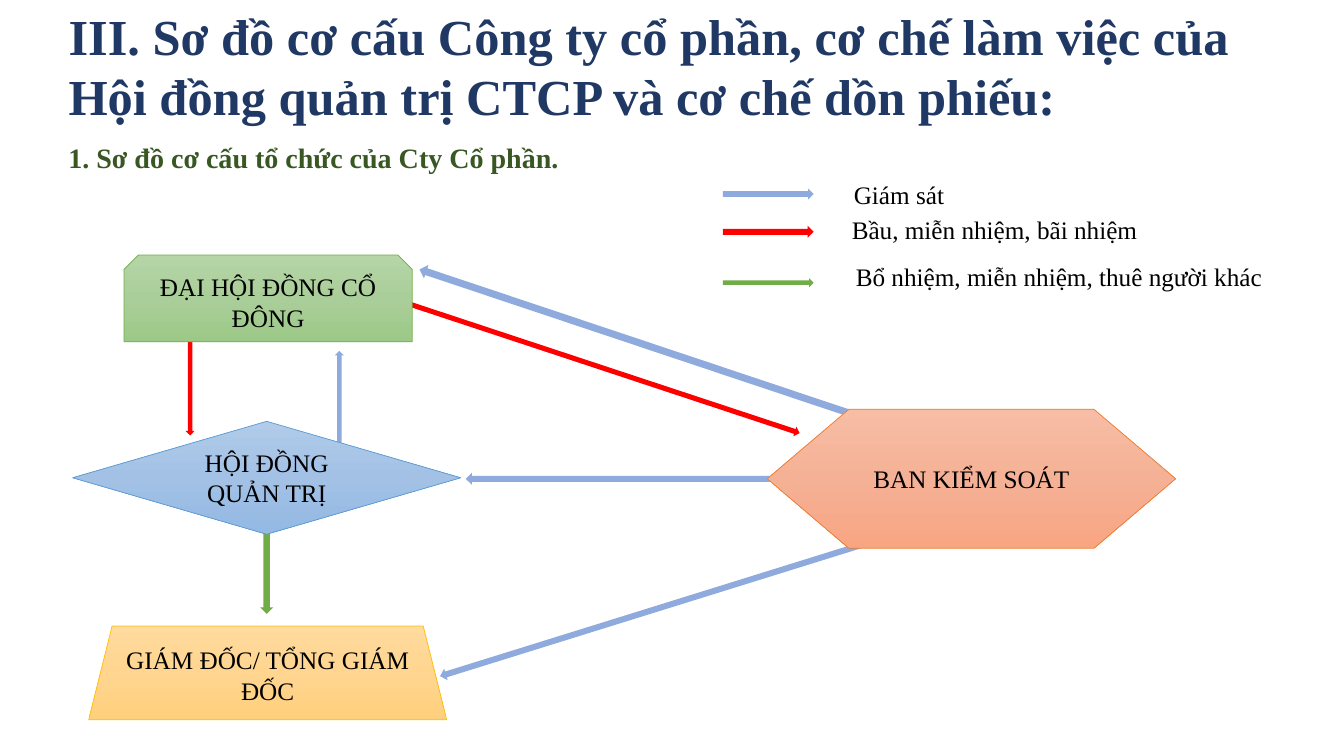
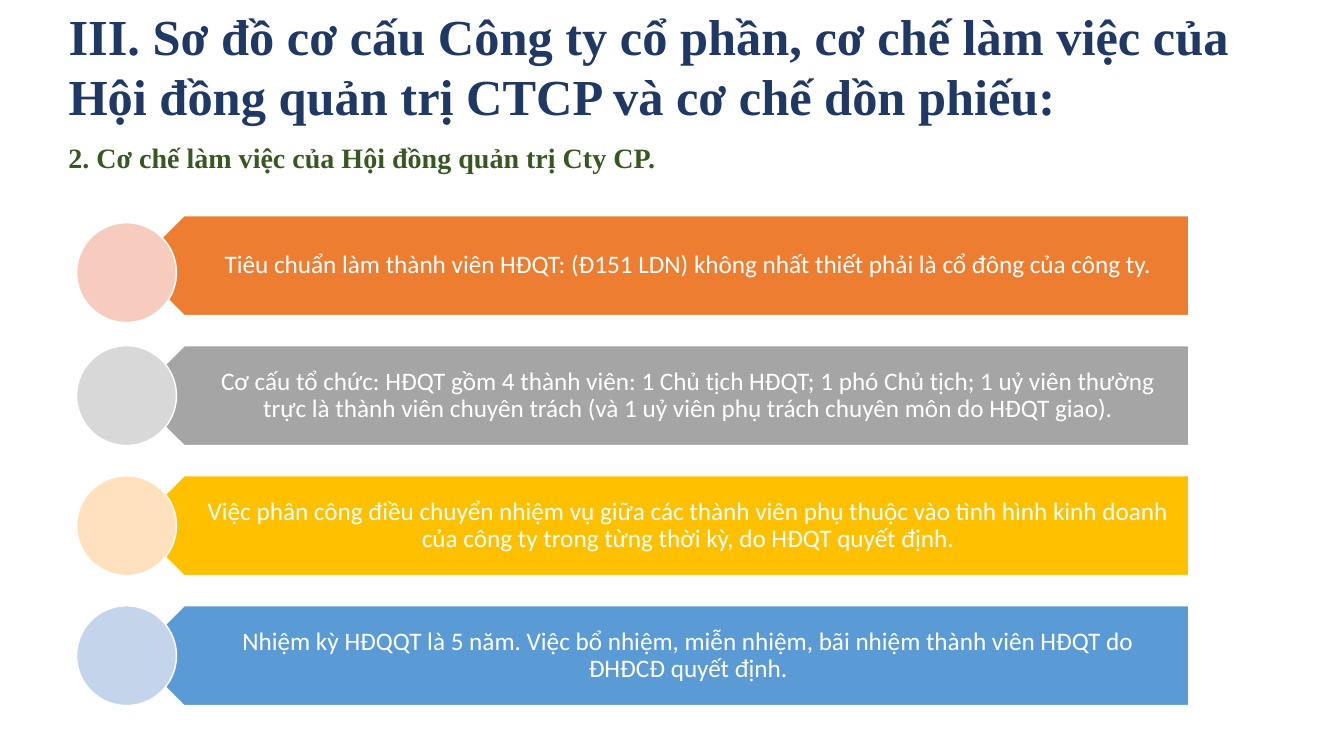
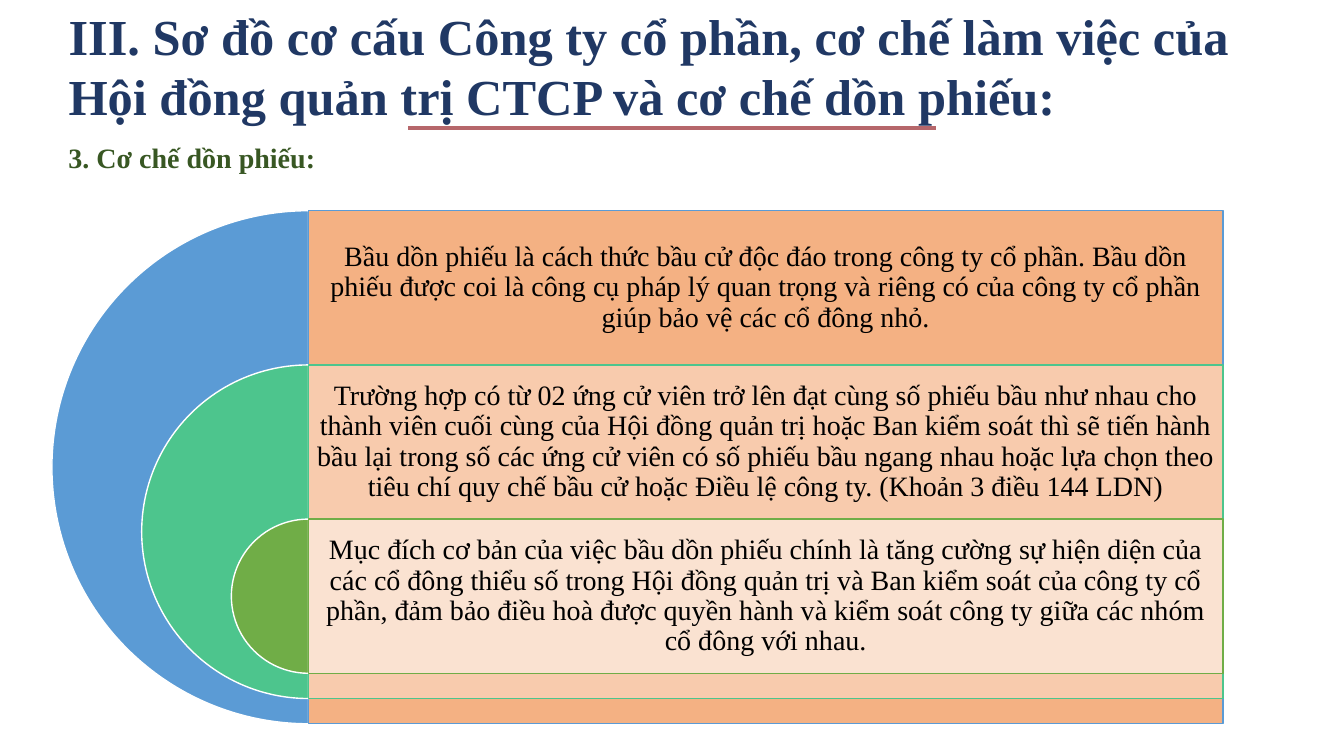
from copy import deepcopy
from dataclasses import dataclass
from typing import NamedTuple, Optional

from lxml.etree import SubElement
from pptx import Presentation
from pptx.dml.color import RGBColor
from pptx.enum.shapes import MSO_CONNECTOR, MSO_SHAPE as Preset
from pptx.enum.text import MSO_ANCHOR as Anchor, PP_ALIGN as Align
from pptx.oxml.ns import qn
from pptx.util import Inches, Pt


@dataclass(frozen=True)
class Theme:
    serif: str = "Times New Roman"
    sans: str = "Calibri"
    title_size: int = 36
    heading_size: int = 20
    body_size: int = 18
    title: str = "203864"
    heading: str = "385723"
    ink: str = "000000"
    white: str = "FFFFFF"
    supervise: str = "8FAADC"
    elect: str = "FF0000"
    appoint: str = "70AD47"
    orange: str = "ED7D31"
    gray: str = "A5A5A5"
    gold: str = "FFC000"
    blue: str = "5B9BD5"
    green: str = "70AD47"
    mint: str = "4DC58D"
    rule: str = "B6676B"


THEME = Theme()
TITLE = ("III. Sơ đồ cơ cấu Công ty cổ phần, cơ chế làm việc của "
         "Hội đồng quản trị CTCP và cơ chế dồn phiếu:")


class Box(NamedTuple):
    left: float
    top: float
    width: float
    height: float

    def lengths(self):
        return [Inches(value) for value in self]


class Arrow(NamedTuple):
    box: Box
    color: str
    rotation: float = 0


class Body(NamedTuple):
    """A governing body of the company in the organisation chart."""
    name: str
    preset: Preset
    box: Box
    gradient: tuple[str, str, str]
    outline: str


class LegendEntry(NamedTuple):
    arrow: Arrow
    label: str
    label_box: Box


class Rule(NamedTuple):
    text: str
    band_color: str
    circle_color: str
    circle_drop: float = 0


class Ring(NamedTuple):
    text: str
    color: str
    panel_color: str
    opacity: int = 100


ARROWS = [
    Arrow(Box(4.62, 4.69, 3.29, 0.12), THEME.supervise, 180),
    Arrow(Box(4.26, 5.96, 4.63, 0.12), THEME.supervise, 162.7),
    Arrow(Box(2.15, 5.53, 0.99, 0.13), THEME.appoint, 90),
    Arrow(Box(1.31, 3.7, 1.15, 0.09), THEME.elect, 90),
    Arrow(Box(3.73, 3.57, 4.31, 0.1), THEME.elect, 18.3),
    Arrow(Box(4.03, 3.41, 5.09, 0.14), THEME.supervise, 198.5),
    Arrow(Box(2.79, 4.01, 1.15, 0.09), THEME.supervise, 270),
]

BODIES = [
    Body("BAN KIỂM SOÁT", Preset.FLOWCHART_PREPARATION,
         Box(7.61, 4.06, 4.05, 1.38), ("F7BDA5", "F5B196", "F8A582"), THEME.orange),
    Body("ĐẠI HỘI ĐỒNG CỔ ĐÔNG", Preset.SNIP_2_SAME_RECTANGLE,
         Box(1.23, 2.53, 2.86, 0.86), ("B5D5A7", "AACE9A", "9CC987"), THEME.green),
    Body("GIÁM ĐỐC/ TỔNG GIÁM ĐỐC", Preset.TRAPEZOID,
         Box(0.88, 6.21, 3.55, 0.93), ("FFDB9E", "FFD590", "FFD07C"), THEME.gold),
    Body("HỘI ĐỒNG QUẢN TRỊ", Preset.FLOWCHART_DECISION,
         Box(0.72, 4.18, 3.85, 1.12), ("B1CBE9", "A3C1E5", "93B9E4"), THEME.blue),
]

LEGEND = [
    LegendEntry(Arrow(Box(7.17, 1.87, 0.9, 0.11), THEME.supervise),
                "Giám sát", Box(8.37, 1.73, 1.1, 0.4)),
    LegendEntry(Arrow(Box(7.17, 2.24, 0.9, 0.12), THEME.elect),
                "Bầu, miễn nhiệm, bãi nhiệm", Box(8.35, 2.08, 3.17, 0.4)),
    LegendEntry(Arrow(Box(7.17, 2.76, 0.9, 0.09), THEME.appoint),
                "Bổ nhiệm, miễn nhiệm, thuê người khác", Box(8.39, 2.54, 4.34, 0.4)),
]

RULES = [
    Rule("Tiêu chuẩn làm thành viên HĐQT: (Đ151 LDN) không nhất thiết phải là "
         "cổ đông của công ty.", THEME.orange, "F6CCBE", 0.07),
    Rule("Cơ cấu tổ chức: HĐQT gồm 4 thành viên: 1 Chủ tịch HĐQT; 1 phó Chủ tịch; "
         "1 uỷ viên thường trực là thành viên chuyên trách (và 1 uỷ viên phụ trách "
         "chuyên môn do HĐQT giao).", THEME.gray, "D8D8D8"),
    Rule("Việc phân công điều chuyển nhiệm vụ giữa các thành viên phụ thuộc vào "
         "tình hình kinh doanh của công ty trong từng thời kỳ, do HĐQT quyết định.",
         THEME.gold, "FFE2BD"),
    Rule("Nhiệm kỳ HĐQQT là 5 năm. Việc bổ nhiệm, miễn nhiệm, bãi nhiệm thành viên "
         "HĐQT do ĐHĐCĐ quyết định.", THEME.blue, "C4D5EB"),
]

RINGS = [
    Ring("Bầu dồn phiếu là cách thức bầu cử độc đáo trong công ty cổ phần. Bầu dồn "
         "phiếu được coi là công cụ pháp lý quan trọng và riêng có của công ty cổ "
         "phần giúp bảo vệ các cổ đông nhỏ.", THEME.blue, "F4B183"),
    Ring("Trường hợp có từ 02 ứng cử viên trở lên đạt cùng số phiếu bầu như nhau cho "
         "thành viên cuối cùng của Hội đồng quản trị hoặc Ban kiểm soát thì sẽ tiến "
         "hành bầu lại trong số các ứng cử viên có số phiếu bầu ngang nhau hoặc lựa "
         "chọn theo tiêu chí quy chế bầu cử hoặc Điều lệ công ty. (Khoản 3 điều 144 "
         "LDN)", THEME.mint, "F8CBAD"),
    Ring("Mục đích cơ bản của việc bầu dồn phiếu chính là tăng cường sự hiện diện của "
         "các cổ đông thiểu số trong Hội đồng quản trị và Ban kiểm soát của công ty "
         "cổ phần, đảm bảo điều hoà được quyền hành và kiểm soát công ty giữa các "
         "nhóm cổ đông với nhau.", THEME.green, "FBE5D6", 90),
]


def rgb(color: str) -> RGBColor:
    return RGBColor.from_string(color)


def write(frame, text: str, *, size: int = THEME.body_size, font: str = THEME.serif,
          color: str = THEME.ink, bold: bool = False, align: Align = Align.LEFT,
          anchor: Anchor = Anchor.TOP, spacing: float = 1.0, wrap: bool = True,
          insets: tuple = (0.1, 0.05, 0.1, 0.05)) -> None:
    frame.word_wrap = wrap
    frame.vertical_anchor = anchor
    (frame.margin_left, frame.margin_top,
     frame.margin_right, frame.margin_bottom) = map(Inches, insets)
    paragraph = frame.paragraphs[0]
    paragraph.alignment = align
    paragraph.line_spacing = spacing
    run = paragraph.add_run()
    run.text = text
    run.font.name = font
    run.font.size = Pt(size)
    run.font.bold = bold
    run.font.color.rgb = rgb(color)


def add_text(slide, box: Box, text: str, **style) -> None:
    write(slide.shapes.add_textbox(*box.lengths()).text_frame, text, **style)


def add_preset(slide, preset: Preset, box: Box, fill: Optional[str] = None,
               outline: Optional[str] = None, weight: float = 1, rotation: float = 0):
    shape = slide.shapes.add_shape(preset, *box.lengths())
    shape.shadow.inherit = False
    shape.rotation = rotation
    if fill:
        shape.fill.solid()
        shape.fill.fore_color.rgb = rgb(fill)
    if outline:
        shape.line.color.rgb = rgb(outline)
        shape.line.width = Pt(weight)
    else:
        shape.line.fill.background()
    return shape


def fill_gradient(shape, colors: tuple[str, str, str]) -> None:
    """Fill from top to bottom with three evenly spaced colours."""
    shape.fill.gradient()
    shape.fill.gradient_angle = 270
    stop_list = shape.element.spPr.find(".//" + qn("a:gsLst"))
    stop_list.insert(1, deepcopy(stop_list[0]))
    for stop, color, position in zip(shape.fill.gradient_stops, colors, (0, 0.5, 1)):
        stop.color.rgb = rgb(color)
        stop.position = position


def set_opacity(shape, percent: int) -> None:
    color = shape.element.spPr.find(qn("a:solidFill"))[0]
    SubElement(color, qn("a:alpha")).set("val", str(percent * 1000))


def add_arrow(slide, arrow: Arrow) -> None:
    add_preset(slide, Preset.RIGHT_ARROW, arrow.box, arrow.color, rotation=arrow.rotation)


def add_titled_slide(deck, heading: str):
    slide = deck.slides.add_slide(deck.slide_layouts[5])
    title = slide.shapes.title
    title.left, title.top, title.width, title.height = Box(0.58, 0, 12.18, 1.31).lengths()
    write(title.text_frame, TITLE, size=THEME.title_size, color=THEME.title, bold=True)
    add_text(slide, Box(0.58, 1.34, 9.56, 0.44), heading,
             size=THEME.heading_size, color=THEME.heading, bold=True)
    return slide


def build_structure(deck) -> None:
    slide = add_titled_slide(deck, "1. Sơ đồ cơ cấu tổ chức của Cty Cổ phần.")
    for arrow in ARROWS:
        add_arrow(slide, arrow)
    for body in BODIES:
        shape = add_preset(slide, body.preset, body.box, outline=body.outline, weight=0.5)
        fill_gradient(shape, body.gradient)
        write(shape.text_frame, body.name, align=Align.CENTER, anchor=Anchor.MIDDLE)
    for entry in LEGEND:
        add_arrow(slide, entry.arrow)
        add_text(slide, entry.label_box, entry.label, wrap=False)


def build_board_rules(deck) -> None:
    slide = add_titled_slide(deck, "2. Cơ chế làm việc của Hội đồng quản trị Cty CP.")
    first_top, pitch, height = 2.14, 1.29, 0.99
    for index, rule in enumerate(RULES):
        top = first_top + index * pitch
        add_preset(slide, Preset.PENTAGON, Box(1.33, top, 10.46, height),
                   rule.band_color, THEME.white, rotation=180)
        add_text(slide, Box(1.57, top, 10.21, height), rule.text, font=THEME.sans,
                 color=THEME.white, align=Align.CENTER, anchor=Anchor.MIDDLE,
                 spacing=0.9, insets=(0.44, 0.07, 0.14, 0.07))
        add_preset(slide, Preset.OVAL, Box(0.76, top + rule.circle_drop, height, height),
                   rule.circle_color, THEME.white)


def build_cumulative_voting(deck) -> None:
    slide = add_titled_slide(deck, "3. Cơ chế dồn phiếu:")
    underline = slide.shapes.add_connector(
        MSO_CONNECTOR.STRAIGHT, Inches(4.05), Inches(1.27), Inches(9.28), Inches(1.27))
    underline.line.color.rgb = rgb(THEME.rule)
    underline.line.width = Pt(3)
    SubElement(underline.element.spPr, qn("a:effectLst"))

    axis, first_top, row_height, panel_width = 3.06, 2.09, 1.53, 9.07
    largest, shrink = 5.09, 1.78
    for index, ring in enumerate(RINGS):
        top = first_top + index * row_height
        diameter = largest - index * shrink
        half_disc = add_preset(slide, Preset.PIE,
                               Box(axis - diameter / 2, top, diameter, diameter),
                               ring.color, THEME.white)
        half_disc.adjustments[0] = 54
        half_disc.adjustments[1] = 162
        panel = add_preset(slide, Preset.RECTANGLE, Box(axis, top, panel_width, diameter),
                           ring.panel_color, ring.color)
        if ring.opacity < 100:
            set_opacity(panel, ring.opacity)
        add_text(slide, Box(axis, top, panel_width, row_height), ring.text,
                 size=THEME.heading_size, align=Align.CENTER, anchor=Anchor.MIDDLE,
                 spacing=0.9, insets=(0.08,) * 4)


def main() -> None:
    deck = Presentation()
    deck.slide_width, deck.slide_height = Inches(13.33), Inches(7.5)
    build_structure(deck)
    build_board_rules(deck)
    build_cumulative_voting(deck)
    deck.save("out.pptx")


if __name__ == "__main__":
    main()
